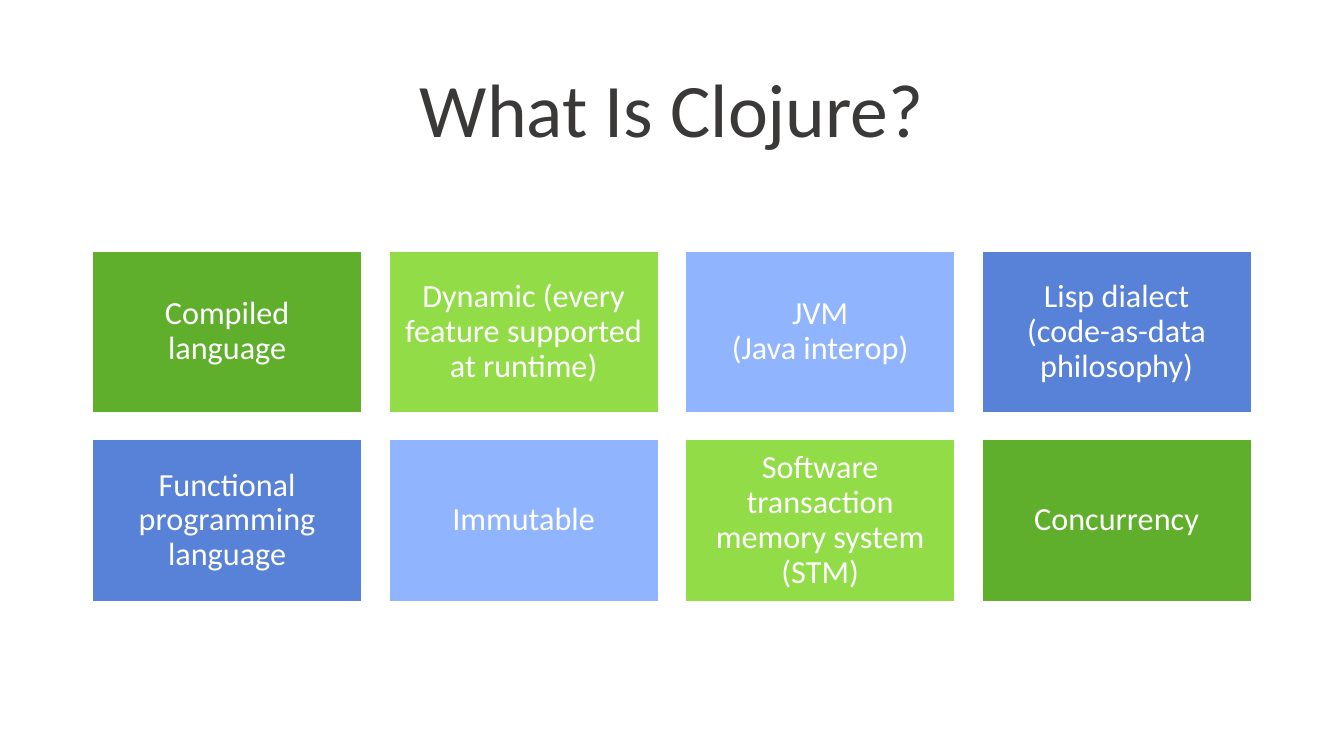
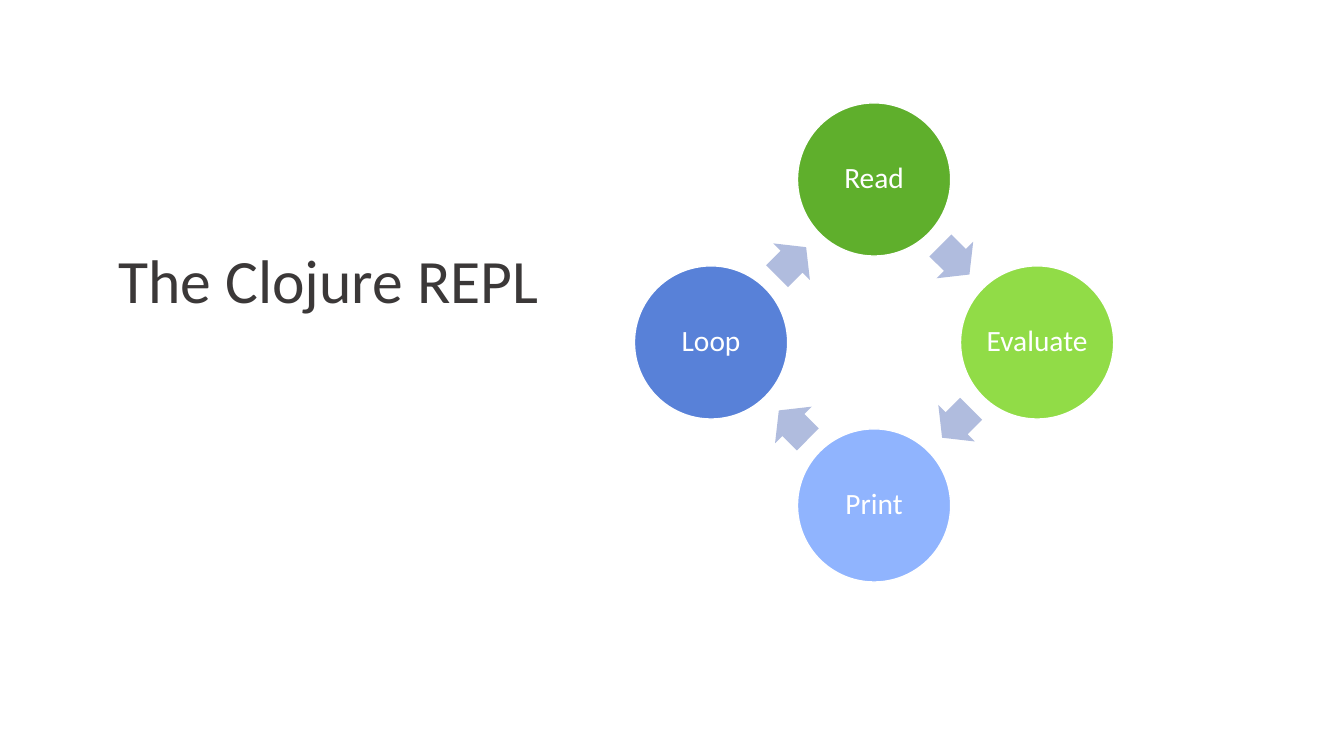
from math import cos, radians, sin

from pptx import Presentation
from pptx.dml.color import RGBColor
from pptx.enum.shapes import MSO_SHAPE as Shape
from pptx.enum.text import MSO_ANCHOR as Anchor, PP_ALIGN as Align
from pptx.util import Inches, Pt

WHITE = RGBColor(0xFF, 0xFF, 0xFF)
INK = RGBColor(0x3B, 0x38, 0x38)
GREEN = RGBColor(0x5F, 0xAF, 0x2C)
LIME = RGBColor(0x91, 0xDC, 0x47)
SKY = RGBColor(0x90, 0xB4, 0xFE)
BLUE = RGBColor(0x58, 0x81, 0xD8)
MIST = RGBColor(0xB0, 0xBC, 0xDE)


class Deck:
    font = "Calibri"
    margin = 6.88
    gap = 2
    columns = 4
    card_ratio = 0.6

    def __init__(self):
        self.deck = Presentation()
        self.deck.slide_width = Inches(13.33)
        self.deck.slide_height = Inches(7.5)
        self.page = None

    def add_page(self):
        self.page = self.deck.slides.add_slide(self.deck.slide_layouts[6])

    def across(self, percent):
        return round(self.deck.slide_width * percent / 100)

    def down(self, percent):
        return round(self.deck.slide_height * percent / 100)

    def set_text(self, box, text, size, color, inset):
        frame = box.text_frame
        frame.word_wrap = True
        frame.vertical_anchor = Anchor.MIDDLE
        frame.margin_left = frame.margin_right = Inches(inset)
        frame.margin_top = frame.margin_bottom = Inches(inset)
        para = frame.paragraphs[0]
        para.text = text
        para.alignment = Align.CENTER
        para.line_spacing = 0.9
        para.font.name = self.font
        para.font.size = Pt(size)
        para.font.color.rgb = color

    def title(self, text, left, top, width, size):
        box = self.page.shapes.add_textbox(
            self.across(left), self.down(top), self.across(width), self.down(19.33))
        self.set_text(box, text, size, INK, 0.1)

    def shape(self, kind, left, top, width, height, color):
        shape = self.page.shapes.add_shape(kind, left, top, width, height)
        shape.shadow.inherit = False
        shape.fill.solid()
        shape.fill.fore_color.rgb = color
        shape.line.fill.background()
        return shape

    def label(self, shape, text, size, inset):
        shape.line.color.rgb = WHITE
        shape.line.width = Pt(1)
        self.set_text(shape, text, size, WHITE, inset)

    def cards(self, top, items):
        gap = self.across(self.gap)
        left = self.across(self.margin)
        inner = self.deck.slide_width - 2 * left
        width = (inner - gap * (self.columns - 1)) // self.columns
        height = round(width * self.card_ratio)
        for index, (text, color) in enumerate(items):
            row, column = divmod(index, self.columns)
            card = self.shape(
                Shape.RECTANGLE, left + column * (width + gap),
                self.down(top) + row * (height + gap), width, height, color)
            self.label(card, text, 23, 0.1)

    def on_orbit(self, kind, center, orbit, angle, width, height, color):
        x = self.across(center[0]) + self.across(orbit) * sin(radians(angle))
        y = self.down(center[1]) - self.across(orbit) * cos(radians(angle))
        width, height = self.across(width), self.across(height)
        return self.shape(
            kind, round(x - width / 2), round(y - height / 2), width, height, color)

    def cycle(self, center, steps):
        turn = 360 / len(steps)
        for index, (text, color) in enumerate(steps):
            angle = index * turn
            disc = self.on_orbit(Shape.OVAL, center, 12.13, angle, 11.4, 11.4, color)
            self.label(disc, text, 21, 0.03)
            heading = angle + turn / 2
            arrow = self.on_orbit(
                Shape.RIGHT_ARROW, center, 8.59, heading - 0.6, 3.05, 3.85, MIST)
            arrow.adjustments[0] = 0.6
            arrow.adjustments[1] = 0.5
            arrow.rotation = heading


def main():
    talk = Deck()

    talk.add_page()
    talk.title("What Is Clojure?", Deck.margin, 5.33, 100 - 2 * Deck.margin, 54)
    talk.cards(33.2, [
        ("Compiled language", GREEN),
        ("Dynamic (every feature supported at runtime)", LIME),
        ("JVM\n(Java interop)", SKY),
        ("Lisp dialect\n(code-as-data philosophy)", BLUE),
        ("Functional programming language", BLUE),
        ("Immutable", SKY),
        ("Software transaction memory system (STM)", LIME),
        ("Concurrency", GREEN),
    ])

    talk.add_page()
    talk.title("The Clojure REPL", 7.73, 27.87, 33.46, 44)
    talk.cycle((65.04, 45.3), [
        ("Read", GREEN),
        ("Evaluate", LIME),
        ("Print", SKY),
        ("Loop", BLUE),
    ])

    talk.deck.save("out.pptx")


if __name__ == "__main__":
    main()
